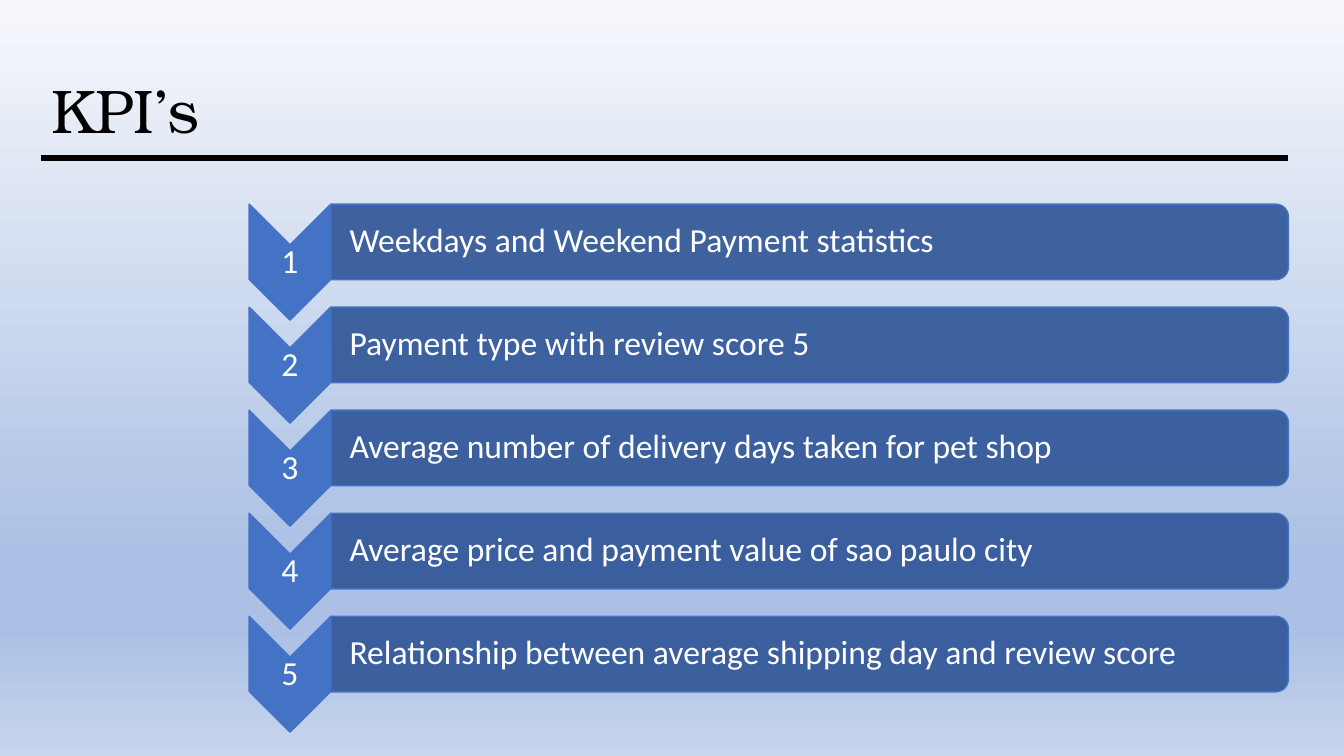
import pptx
import pptx.util
import pptx.dml.color
import pptx.enum.shapes
import pptx.enum.text
import pptx.oxml
import pptx.oxml.ns
from lxml import etree

Pt = pptx.util.Pt
qn = pptx.oxml.ns.qn
SHAPE = pptx.enum.shapes.MSO_SHAPE
ALIGN = pptx.enum.text.PP_ALIGN

COLORS = {
    "sky_top": "F6F8FC",
    "sky_deep": "ABC0E4",
    "sky_bottom": "C7D5ED",
    "chevron": "4472C4",
    "bar": "2F5597",
    "title": "000000",
    "label": "FFFFFF",
}

KPIS = [
    "Weekdays and Weekend Payment statistics",
    "Payment type with review score 5",
    "Average number of delivery days taken for pet shop",
    "Average price and payment value of sao paulo city",
    "Relationship between average shipping day and review score",
]


def color(name):
    return pptx.dml.color.RGBColor.from_string(COLORS[name])


def add_text(slide, text, left, top, width, height, *, size=24, font="Calibri",
             fill="label", align=ALIGN.LEFT, inset=1.2, left_inset=None):
    box = slide.shapes.add_textbox(Pt(left), Pt(top), Pt(width), Pt(height))
    frame = box.text_frame
    frame.word_wrap = True
    frame.vertical_anchor = pptx.enum.text.MSO_ANCHOR.MIDDLE
    frame.margin_top = frame.margin_bottom = frame.margin_right = Pt(inset)
    frame.margin_left = Pt(inset if left_inset is None else left_inset)
    paragraph = frame.paragraphs[0]
    paragraph.alignment = align
    paragraph.line_spacing = 0.9
    run = paragraph.add_run()
    run.text = text
    run.font.size = Pt(size)
    run.font.name = font
    run.font.color.rgb = color(fill)


def add_turned_shape(slide, kind, left, top, width, height, fill, opacity=100):
    """Place a shape turned by 90 degrees so that it covers the given box."""
    shape = slide.shapes.add_shape(
        kind, Pt(left + (width - height) / 2), Pt(top + (height - width) / 2),
        Pt(height), Pt(width))
    shape.rotation = 90
    shape.shadow.inherit = False
    shape.fill.solid()
    shape.fill.fore_color.rgb = color(fill)
    shape.line.color.rgb = color("chevron")
    shape.line.width = Pt(1)
    if opacity < 100:
        solid = shape.element.spPr.find(qn("a:solidFill"))
        etree.SubElement(solid[0], qn("a:alpha"), val=str(opacity * 1000))


def paint_background(slide):
    fill = slide.background.fill
    fill.gradient()
    fill.gradient_angle = 270
    stops = slide.element.find(".//" + qn("a:gsLst"))
    for stop in list(stops):
        stops.remove(stop)
    for position, name in [(0, "sky_top"), (74, "sky_deep"),
                           (83, "sky_deep"), (100, "sky_bottom")]:
        stop = etree.SubElement(stops, qn("a:gs"), pos=str(position * 1000))
        etree.SubElement(stop, qn("a:srgbClr"), val=COLORS[name])


def add_kpi_row(slide, number, text, left, top, width):
    chevron_width, chevron_height, bar_height = 58.3, 82.8, 54
    bar_left = left + chevron_width
    bar_width = width - chevron_width

    # Numbered chevron pointing down
    add_turned_shape(slide, SHAPE.CHEVRON, left, top,
                     chevron_width, chevron_height, "chevron")
    add_text(slide, str(number), left, top + chevron_width / 2,
             chevron_width, 25.2, align=ALIGN.CENTER)

    # Bar with the KPI, rounded on its right
    add_turned_shape(slide, SHAPE.ROUND_2_SAME_RECTANGLE, bar_left, top,
                     bar_width, bar_height, "bar", opacity=90)
    add_text(slide, text, bar_left, top + 2.6, bar_width - 2.6,
             bar_height - 5.2, left_inset=13.4)


def add_kpi_list(slide, left, top, width, pitch):
    for index, text in enumerate(KPIS):
        add_kpi_row(slide, index + 1, text, left, top + index * pitch, width)


def add_heading(slide, left, top, width, height):
    add_text(slide, "KPI’s", left, top, width, height, size=44,
             font="TeX Gyre Bonum", fill="title", inset=3.6, left_inset=7.2)

    # Rule under the title
    rule_y = Pt(top + 84.3)
    rule = slide.shapes.add_connector(
        pptx.enum.shapes.MSO_CONNECTOR.STRAIGHT,
        Pt(left), rule_y, Pt(left + 890.6), rule_y)
    rule.line.color.rgb = color("title")
    rule.line.width = Pt(4.5)
    etree.SubElement(rule.element.spPr, qn("a:effectLst"))


def main():
    deck = pptx.Presentation()
    deck.slide_width, deck.slide_height = Pt(960), Pt(540)
    slide = deck.slides.add_slide(deck.slide_layouts[6])
    paint_background(slide)
    add_heading(slide, 29.5, 28.8, 864.7, 104.4)
    add_kpi_list(slide, 178, 145.8, 742.3, 73.6)
    deck.save("out.pptx")


if __name__ == "__main__":
    main()
